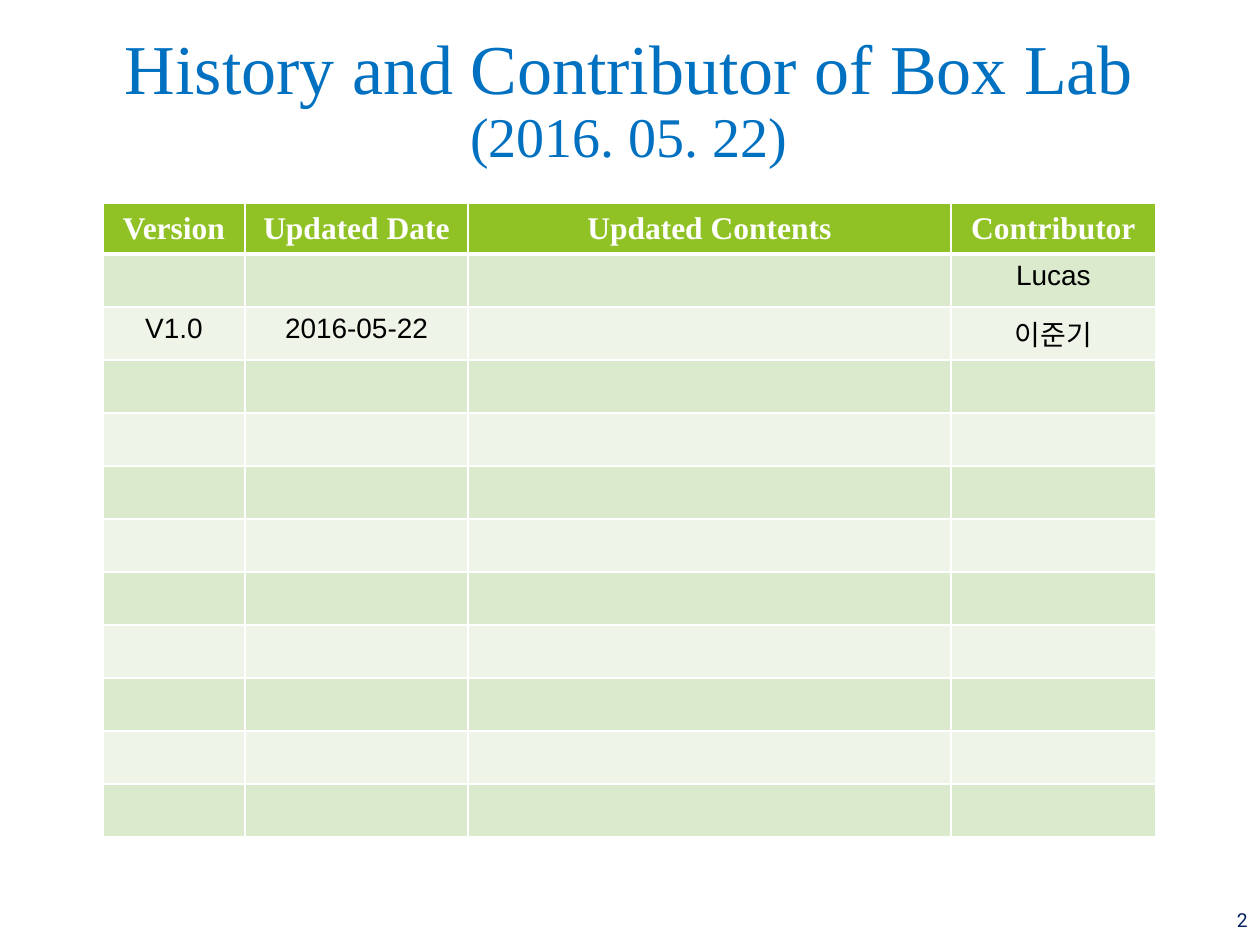
from lxml.etree import SubElement
from pptx import Presentation
from pptx.dml.color import RGBColor
from pptx.enum.text import MSO_ANCHOR as Anchor, PP_ALIGN as Align
from pptx.oxml.ns import qn
from pptx.util import Emu, Pt

EMU_PER_PX = 914400 / 126
WHITE = "FFFFFF"
HEADER_FILL = "90C226"
BAND_FILLS = ["EEF4E8", "DBE9CD"]

COLUMNS = [("Version", 142), ("Updated Date", 223),
           ("Updated Contents", 483), ("Contributor", 205)]
ENTRIES = [["", "", "", "Lucas"], ["V1.0", "2016-05-22", "", "이준기"]]
ROW_COUNT = 12
HEADER_HEIGHT, ROW_HEIGHT = 51, 53


def px(length):
    return Emu(round(length * EMU_PER_PX))


def color(value):
    return RGBColor.from_string(value)


def style_para(para, size, font, ink, align=Align.CENTER, bold=False):
    para.alignment = align
    for span in para.runs:
        span.font.size = Pt(size)
        span.font.name = font
        span.font.bold = bold
        span.font.color.rgb = color(ink)


def add_text(page, box, lines, sizes, font, ink, align=Align.CENTER):
    """Add a middle-anchored text box with one size per line."""
    frame = page.shapes.add_textbox(*map(px, box)).text_frame
    frame.word_wrap = True
    frame.vertical_anchor = Anchor.MIDDLE
    frame.text = "\n".join(lines)
    for para, size in zip(frame.paragraphs, sizes):
        style_para(para, size, font, ink, align)
    return frame


def add_title(page, box):
    lines = ["History and Contributor of Box Lab", "(2016. 05. 22)"]
    frame = add_text(page, box, lines, [40, 32], "Times New Roman", "0070C0")
    for para in frame.paragraphs:
        para.line_spacing = 0.9


def add_page_number(page, box):
    add_text(page, box, ["2"], [11], "Roboto", "002060", Align.RIGHT)


def set_borders(cell, top, bottom):
    """Draw white borders; top and bottom are widths in points."""
    properties = cell._tc.get_or_add_tcPr()
    for side, width in (("L", 1), ("R", 1), ("T", top), ("B", bottom)):
        line = SubElement(properties, qn(f"a:ln{side}"), w=str(Pt(width)))
        fill = SubElement(line, qn("a:solidFill"))
        SubElement(fill, qn("a:srgbClr"), val=WHITE)


def fill_cell(cell, text, row):
    is_header = row == 0
    set_borders(cell, top=3 if row == 1 else 1, bottom=3 if is_header else 1)
    cell.fill.solid()
    cell.fill.fore_color.rgb = color(HEADER_FILL if is_header else BAND_FILLS[row % 2])
    cell.text = text
    para = cell.text_frame.paragraphs[0]
    if is_header:
        cell.vertical_anchor = Anchor.MIDDLE
        style_para(para, 18, "Times New Roman", WHITE, bold=True)
    else:
        style_para(para, 16, "Arial", "000000")


def add_history_table(page, left, top):
    names, widths = zip(*COLUMNS)
    heights = [HEADER_HEIGHT] + [ROW_HEIGHT] * (ROW_COUNT - 1)
    box = (left, top, sum(widths), sum(heights))
    table = page.shapes.add_table(ROW_COUNT, len(COLUMNS), *map(px, box)).table
    for column, width in zip(table.columns, widths):
        column.width = px(width)
    for row, height in zip(table.rows, heights):
        row.height = px(height)

    contents = [names, *ENTRIES]
    contents += [[""] * len(COLUMNS)] * (ROW_COUNT - len(contents))
    for row, texts in enumerate(contents):
        for column, text in enumerate(texts):
            fill_cell(table.cell(row, column), text, row)


def main():
    deck = Presentation()
    deck.slide_width, deck.slide_height = px(1260), px(945)
    page = deck.slides.add_slide(deck.slide_layouts[6])
    add_page_number(page, (1190, 895, 70, 50))
    add_title(page, (55, 44, 1148, 116))
    add_history_table(page, 103, 203)
    deck.save("out.pptx")


if __name__ == "__main__":
    main()
